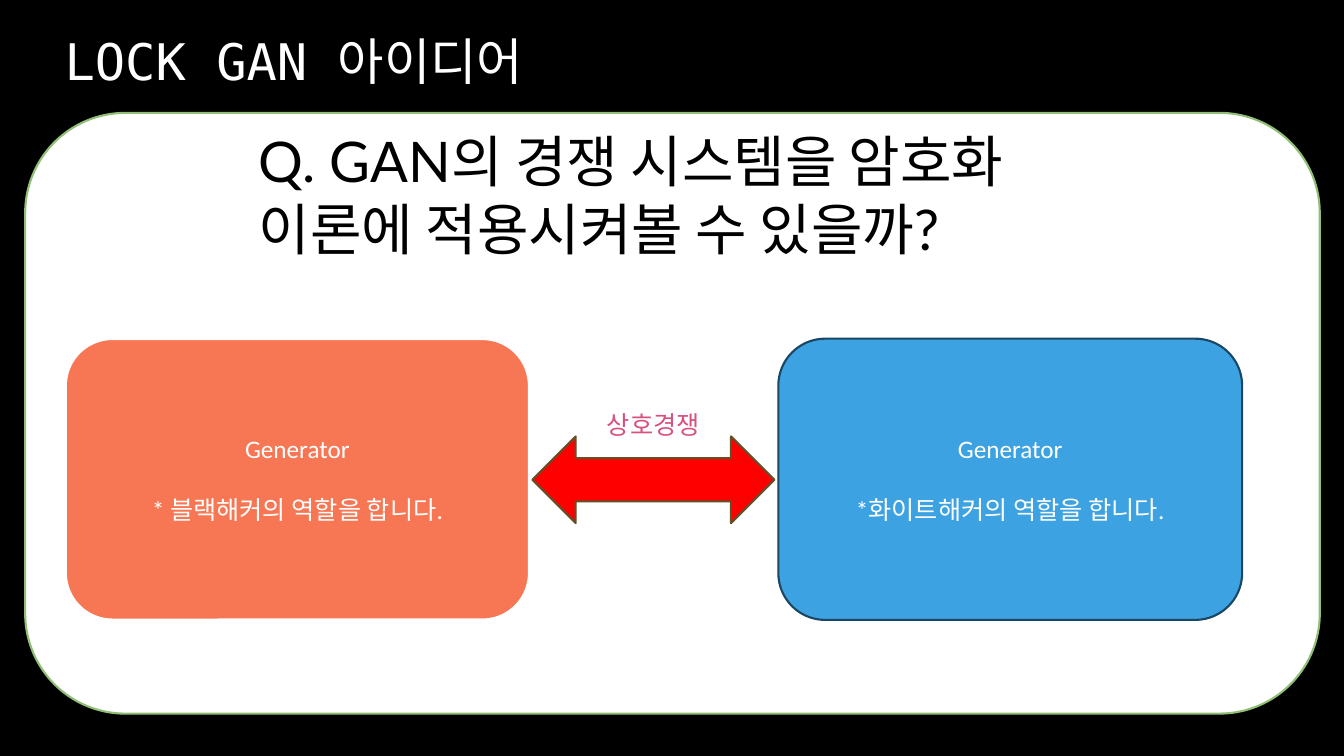
from dataclasses import dataclass

from pptx import Presentation
from pptx import util as u
from pptx.dml import color
from pptx.enum import shapes, text


@dataclass(frozen=True)
class Theme:
    """Colours, fonts and type sizes of the slide."""
    black: str = "000000"
    white: str = "FFFFFF"
    panel_edge: str = "91BF77"
    attacker: str = "F77754"
    defender: str = "3CA2E2"
    defender_edge: str = "1A4763"
    arrow: str = "FF0000"
    arrow_edge: str = "644F27"
    caption: str = "D8507E"
    title_font: str = "DejaVu Sans Mono"
    question_font: str = "Lato"
    body_font: str = "Calibri"
    title_size: int = 36
    question_size: int = 40
    body_size: int = 18


THEME = Theme()


def rgb(value):
    """Turn a hex string into a colour."""
    return color.RGBColor.from_string(value)


def apply(target, values):
    """Set attributes of an object from a dict."""
    for name, value in values.items():
        setattr(target, name, value)


def write(frame, lines, font, size, ink, align, anchor, gap=0):
    """Fill a text frame with evenly formatted paragraphs."""
    apply(frame, {"word_wrap": True, "auto_size": text.MSO_AUTO_SIZE.NONE,
                  "vertical_anchor": anchor})
    for index, line in enumerate(lines):
        paragraph = frame.paragraphs[0] if index == 0 else frame.add_paragraph()
        paragraph.alignment = align
        paragraph.space_before = u.Pt(gap if index else 0)
        run = paragraph.add_run()
        run.text = line
        apply(run.font, {"name": font, "size": u.Pt(size)})
        run.font.color.rgb = rgb(ink)


def add_block(slide, kind, box, fill, edge, width=1.5):
    """Draw a filled and outlined preset shape in the box."""
    block = slide.shapes.add_shape(kind, *map(u.Inches, box))
    block.shadow.inherit = False
    block.fill.solid()
    block.fill.fore_color.rgb = rgb(fill)
    block.line.color.rgb = rgb(edge)
    block.line.width = u.Pt(width)
    return block


def add_heading(slide, box):
    """Place the slide title in the box."""
    heading = slide.shapes.title
    apply(heading, dict(zip(("left", "top", "width", "height"), map(u.Inches, box))))
    write(heading.text_frame, ["LOCK GAN 아이디어"], THEME.title_font, THEME.title_size,
          THEME.white, text.PP_ALIGN.LEFT, text.MSO_ANCHOR.MIDDLE)


def add_question(slide, box):
    """Draw the white panel with the question at its top."""
    left, top, _, _ = box
    add_block(slide, shapes.MSO_SHAPE.ROUNDED_RECTANGLE, box, THEME.white, THEME.panel_edge)
    question = slide.shapes.add_textbox(
        *map(u.Inches, (left + 2.22, top + 0.09, 8.31, 1.45)))
    write(question.text_frame, ["Q. GAN의 경쟁 시스템을 암호화 이론에 적용시켜볼 수 있을까?"],
          THEME.question_font, THEME.question_size, THEME.black,
          text.PP_ALIGN.LEFT, text.MSO_ANCHOR.TOP)


def add_rivals(slide, box):
    """Draw the two competing networks at the sides of the box."""
    left, top, width, height = box
    card_width = 4.6
    rivals = (
        (left, "* 블랙해커의 역할을 합니다.", THEME.attacker, THEME.white, 2),
        (left + width - card_width, "*화이트해커의 역할을 합니다.",
         THEME.defender, THEME.defender_edge, 1.5),
    )
    for x, role, fill, edge, line_width in rivals:
        card = add_block(slide, shapes.MSO_SHAPE.ROUNDED_RECTANGLE,
                         (x, top, card_width, height), fill, edge, line_width)
        write(card.text_frame, ["Generator", role], THEME.body_font, THEME.body_size,
              THEME.white, text.PP_ALIGN.CENTER, text.MSO_ANCHOR.MIDDLE, gap=22)


def add_competition(slide, box):
    """Draw the two-way arrow in the box with its caption above."""
    left, top, width, _ = box
    caption_width = 1.97
    add_block(slide, shapes.MSO_SHAPE.LEFT_RIGHT_ARROW, box, THEME.arrow, THEME.arrow_edge)
    caption = slide.shapes.add_textbox(*map(u.Inches, (
        left + (width - caption_width) / 2, top - 0.32, caption_width, 0.4)))
    write(caption.text_frame, ["상호경쟁"], THEME.body_font, THEME.body_size,
          THEME.caption, text.PP_ALIGN.CENTER, text.MSO_ANCHOR.TOP)


def main():
    """Build and save the slide."""
    deck = Presentation()
    apply(deck, {"slide_width": u.Inches(13.33), "slide_height": u.Inches(7.5)})
    slide = deck.slides.add_slide(deck.slide_layouts[5])
    slide.background.fill.solid()
    slide.background.fill.fore_color.rgb = rgb(THEME.black)
    add_heading(slide, (0.54, 0, 11.08, 1.2))
    add_question(slide, (0.25, 1.12, 12.84, 5.96))
    add_rivals(slide, (0.65, 3.36, 11.67, 2.79))
    add_competition(slide, (5.28, 4.33, 2.4, 0.86))
    deck.save("out.pptx")


if __name__ == "__main__":
    main()
